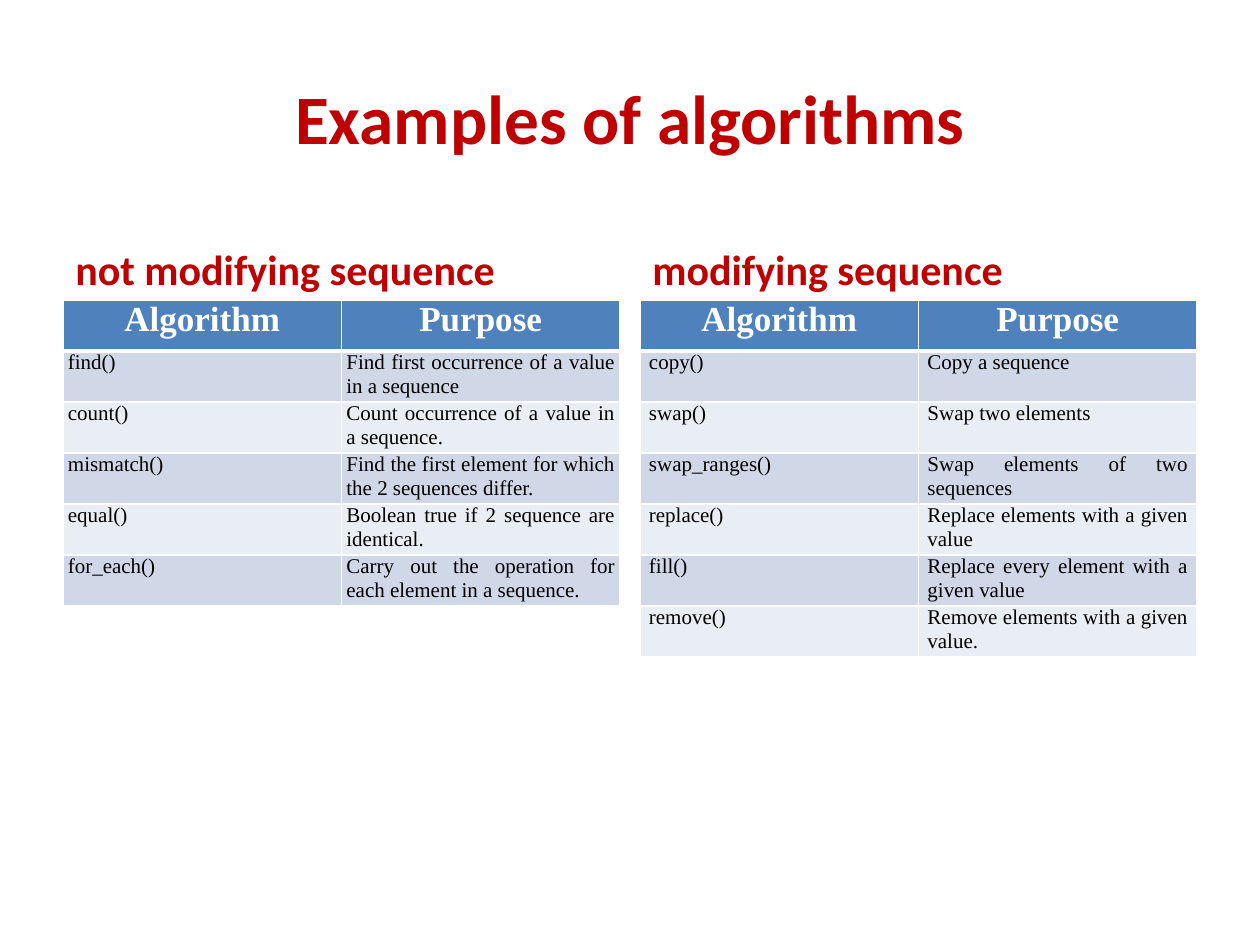
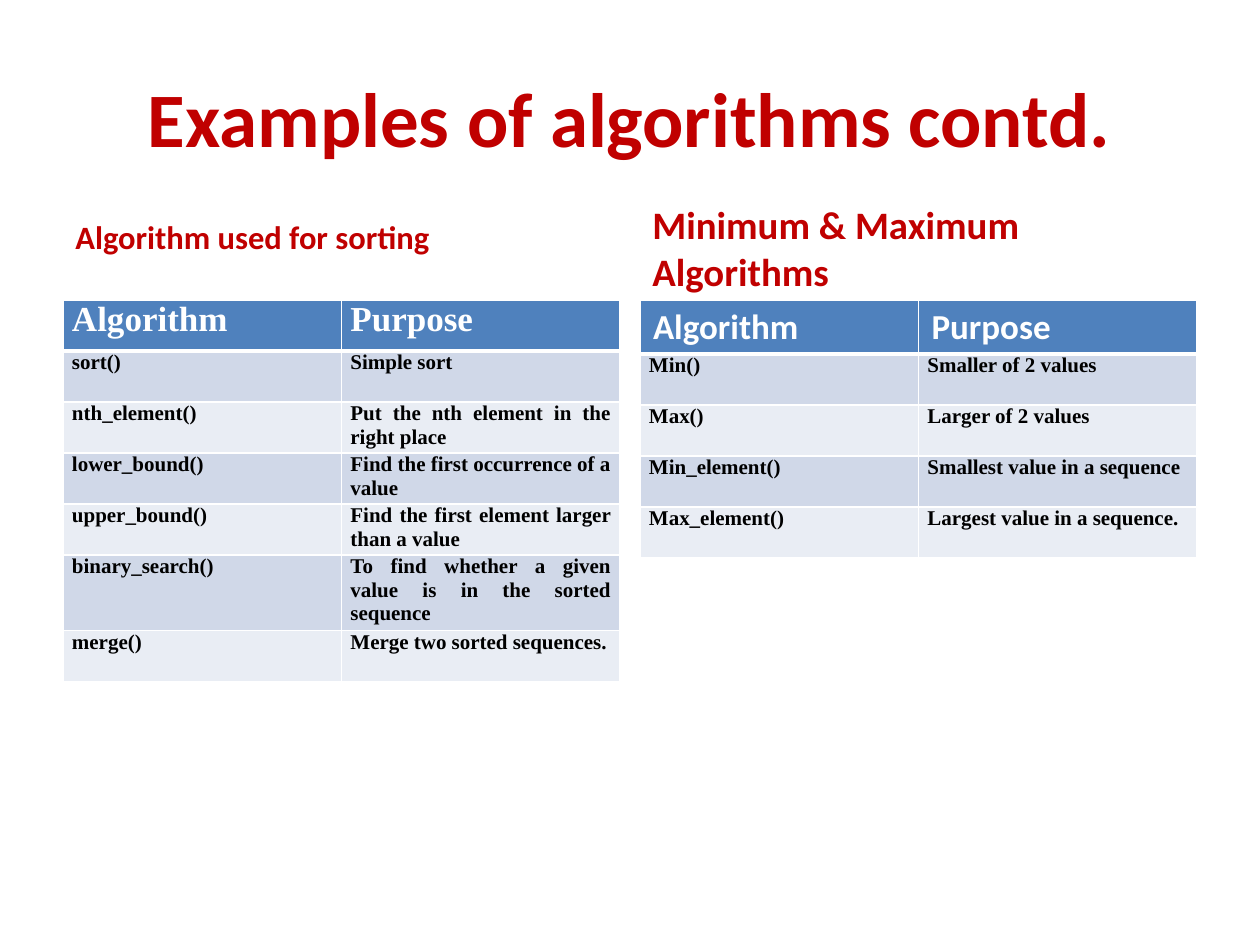
from lxml import etree
from pptx import Presentation
from pptx.dml.color import RGBColor
from pptx.enum.text import MSO_ANCHOR, PP_ALIGN
from pptx.oxml.ns import qn
from pptx.util import Emu, Pt

LEFT, CENTER, JUSTIFY = PP_ALIGN.LEFT, PP_ALIGN.CENTER, PP_ALIGN.JUSTIFY
MIDDLE, BOTTOM = MSO_ANCHOR.MIDDLE, MSO_ANCHOR.BOTTOM
COLORS = {"heading": "C00000", "header": "4F81BD", "odd": "D0D8E8",
          "even": "E9EDF4", "white": "FFFFFF", "black": "000000"}
SANS, SERIF = "Calibri", "Times New Roman"
HEADER = ("Algorithm", "Purpose")

NARROW, WIDE, STANDARD = (5, 0), (9, 0), (13, 6)
SLIDES = [
    {"title": "Examples of algorithms", "size": 39.6, "bold": False, "panels": [
        {"heading": "not modifying sequence", "size": 24, "inset": NARROW,
         "header_align": CENTER, "rows": [
             ("find()", "Find first occurrence of a value in a sequence"),
             ("count()", "Count occurrence of a value in a sequence."),
             ("mismatch()", "Find the first element for which the 2 sequences differ."),
             ("equal()", "Boolean true if 2 sequence are identical."),
             ("for_each()", "Carry out the operation for each element in a sequence."),
         ]},
        {"heading": "modifying sequence", "size": 24, "inset": WIDE,
         "header_align": CENTER, "rows": [
             ("copy()", "Copy a sequence"),
             ("swap()", "Swap two elements"),
             ("swap_ranges()", "Swap elements of two sequences"),
             ("replace()", "Replace elements with a given value"),
             ("fill()", "Replace every element with a given value"),
             ("remove()", "Remove elements with a given value."),
         ]},
    ]},
    {"title": "Examples of algorithms contd.", "size": 44, "bold": True, "panels": [
        {"heading": "Algorithm used for sorting", "size": 18.6, "inset": WIDE,
         "header_align": JUSTIFY, "raise": 38, "rows": [
             ("sort()", "Simple sort"),
             ("nth_element()", "Put the nth element in the right place"),
             ("lower_bound()", "Find the first occurrence of a value"),
             ("upper_bound()", "Find the first element larger than a value"),
             ("binary_search()", "To find whether a given value is in the sorted sequence"),
             ("merge()", "Merge two sorted sequences."),
         ]},
        {"heading": "Minimum & Maximum Algorithms", "size": 22.2, "inset": WIDE,
         "header_align": LEFT, "header_font": SANS, "header_inset": STANDARD, "rows": [
             ("Min()", "Smaller of 2 values"),
             ("Max()", "Larger of 2 values"),
             ("Min_element()", "Smallest value in a sequence"),
             ("Max_element()", "Largest value in a sequence."),
         ]},
    ]},
]

MARGIN, PANEL_W, PANEL_GAP = 63, 557, 20
TITLE_BOX = (MARGIN, 38, 1134, 158)
HEADING_Y, HEADING_H, TABLE_Y, ROW_H = 212, 88, 300, 51


def px(n):
    return Emu(round(n * 914400 / 126))


def rgb(name):
    return RGBColor.from_string(COLORS[name])


def write(tf, text, align, color, **font):
    p = tf.paragraphs[0]
    p.alignment = align
    r = p.add_run()
    r.text = text
    r.font.color.rgb = rgb(color)
    for key, value in font.items():
        setattr(r.font, key, value)


def add_text(s, box, text, size, align, anchor, bottom=6):
    tf = s.shapes.add_textbox(*map(px, box)).text_frame
    layout = {"word_wrap": True, "vertical_anchor": anchor, "margin_bottom": px(bottom)}
    for key, value in layout.items():
        setattr(tf, key, value)
    write(tf, text, align, "heading", name=SANS, size=Pt(size), bold=True)


def add_borders(cell, row):
    tcPr = cell._tc.get_or_add_tcPr()
    widths = {"lnL": 1, "lnR": 1, "lnT": 3 if row == 1 else 1, "lnB": 3 if row == 0 else 1}
    for tag, width in widths.items():
        ln = etree.SubElement(tcPr, qn(f"a:{tag}"), w=str(Pt(width)))
        fill = etree.SubElement(ln, qn("a:solidFill"))
        etree.SubElement(fill, qn("a:srgbClr"), val=COLORS["white"])


def format_cell(cell, row, inset, fill):
    add_borders(cell, row)
    cell.fill.solid()
    cell.fill.fore_color.rgb = rgb(fill)
    x, y = map(px, inset)
    margins = {"margin_left": x, "margin_right": x, "margin_top": y, "margin_bottom": y}
    for key, value in margins.items():
        setattr(cell, key, value)


def add_algorithm_table(s, x, panel, bold):
    rows = [HEADER] + panel["rows"]
    box = (x, TABLE_Y, PANEL_W, ROW_H * len(rows))
    table = s.shapes.add_table(len(rows), len(HEADER), *map(px, box)).table
    for i, row in enumerate(rows):
        if i == 0:
            inset = panel.get("header_inset", panel["inset"])
            fill, color, align = "header", "white", panel["header_align"]
            font = {"name": panel.get("header_font", SERIF), "size": Pt(20), "bold": True}
        else:
            inset, color, align = panel["inset"], "black", JUSTIFY
            fill = "odd" if i % 2 else "even"
            font = {"name": SERIF, "size": Pt(12), "bold": bold}
        for j, text in enumerate(row):
            cell = table.cell(i, j)
            format_cell(cell, i, inset, fill)
            write(cell.text_frame, text, align, color, **font)


def main():
    prs = Presentation()
    prs.slide_width, prs.slide_height = px(1260), px(945)
    for content in SLIDES:
        s = prs.slides.add_slide(prs.slide_layouts[6])
        add_text(s, TITLE_BOX, content["title"], content["size"], CENTER, MIDDLE)
        for i, panel in enumerate(content["panels"]):
            x = MARGIN + i * (PANEL_W + PANEL_GAP)
            add_text(s, (x, HEADING_Y, PANEL_W, HEADING_H), panel["heading"],
                     panel["size"], LEFT, BOTTOM, 6 + panel.get("raise", 0))
            add_algorithm_table(s, x, panel, content["bold"])
    prs.save("out.pptx")


if __name__ == "__main__":
    main()
